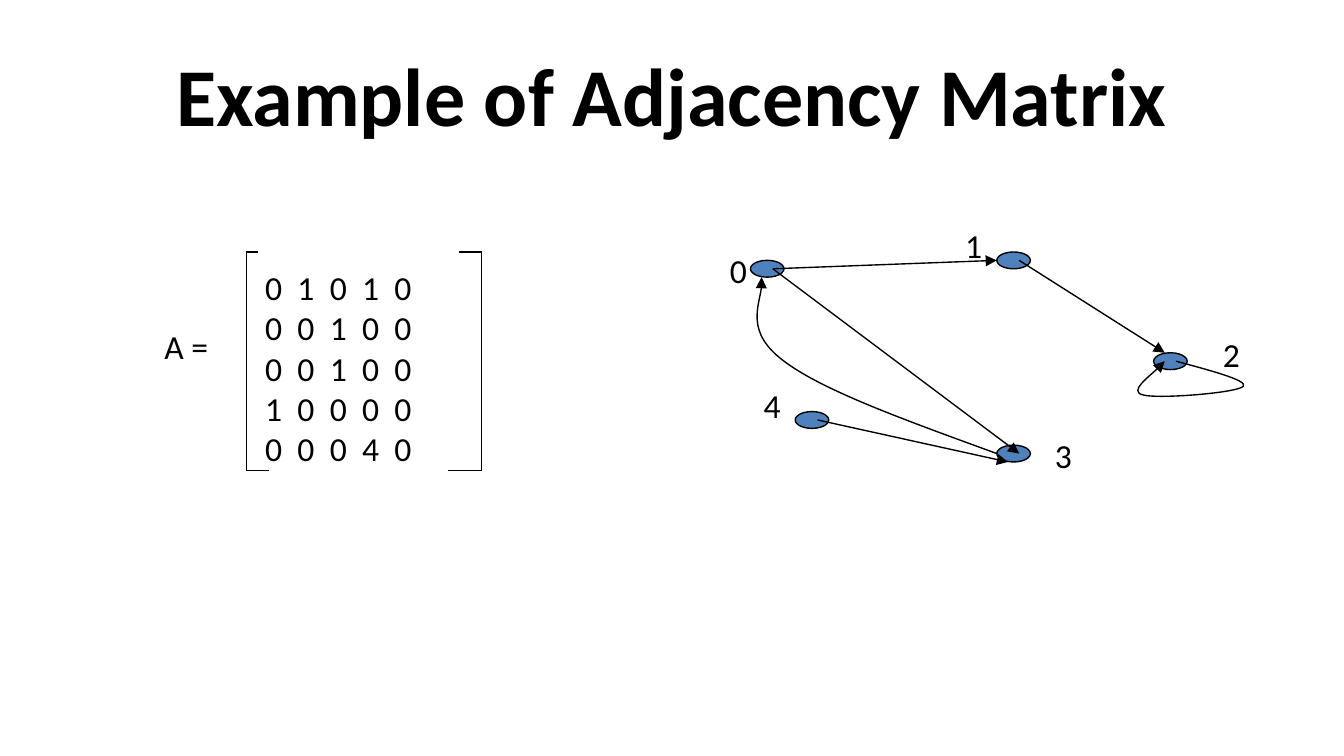
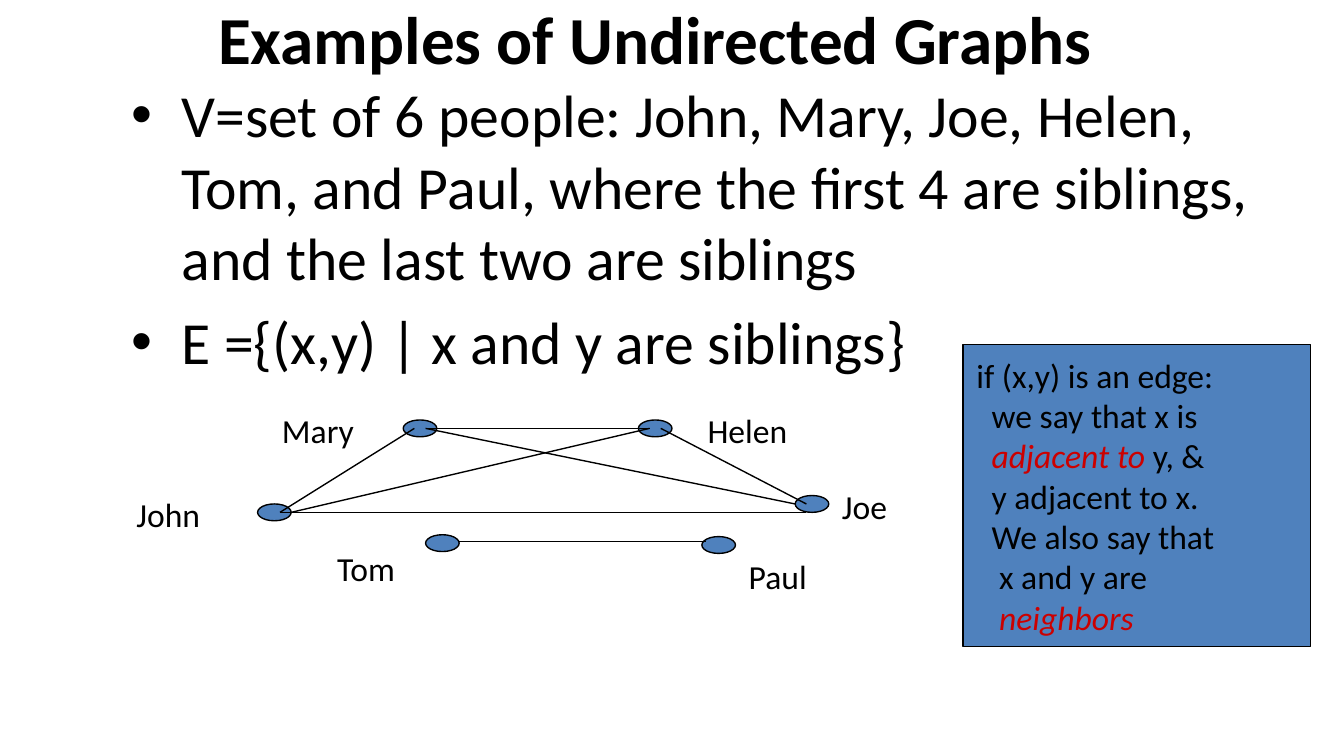
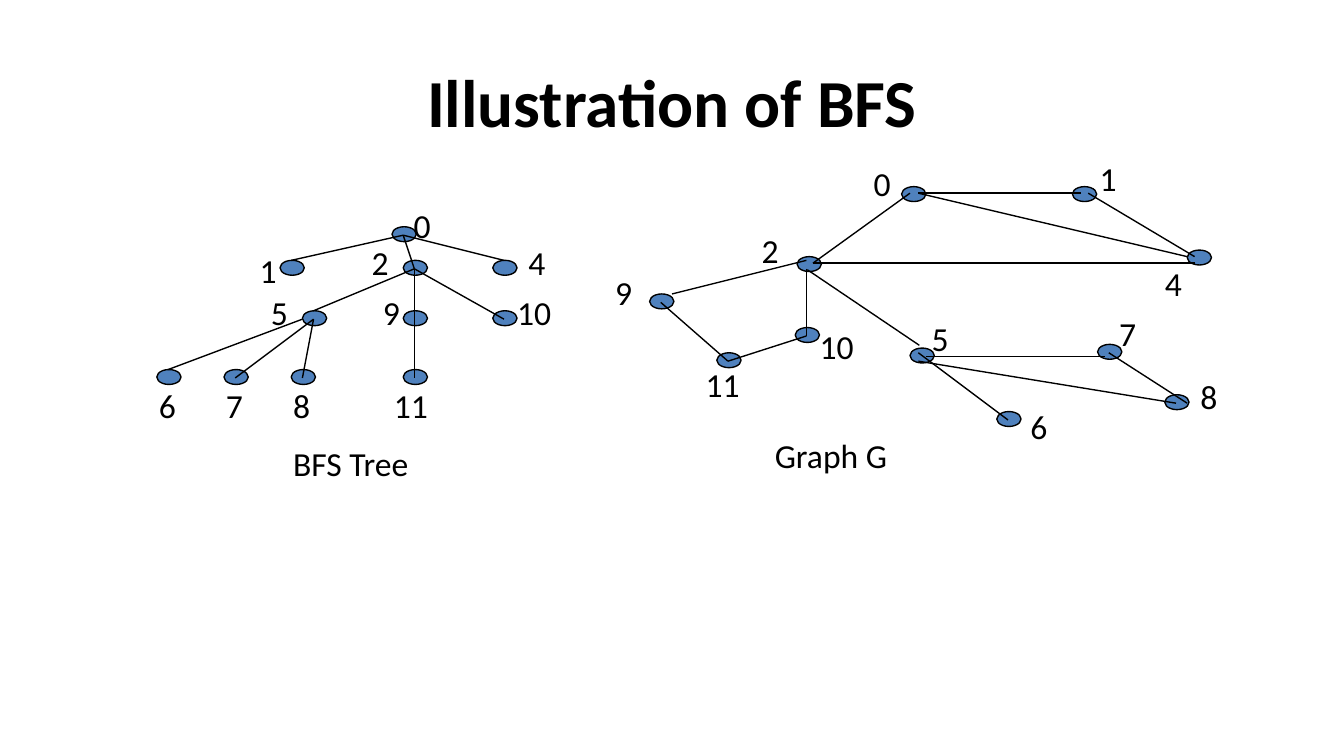
from pptx import Presentation
from pptx.dml.color import RGBColor
from pptx.enum.shapes import MSO_CONNECTOR, MSO_SHAPE
from pptx.enum.text import MSO_ANCHOR, MSO_AUTO_SIZE, PP_ALIGN
from pptx.oxml.ns import qn
from pptx.oxml.xmlchemy import OxmlElement
from pptx.util import Pt

OVAL, RECT = MSO_SHAPE.OVAL, MSO_SHAPE.RECTANGLE
STRAIGHT = MSO_CONNECTOR.STRAIGHT
MIDDLE, TOP = MSO_ANCHOR.MIDDLE, MSO_ANCHOR.TOP
LEFT, CENTER, JUSTIFY = PP_ALIGN.LEFT, PP_ALIGN.CENTER, PP_ALIGN.JUSTIFY
NO_FIT, GROW = MSO_AUTO_SIZE.NONE, MSO_AUTO_SIZE.SHAPE_TO_FIT_TEXT

BLACK = RGBColor(0x00, 0x00, 0x00)
BLUE = RGBColor(0x4F, 0x81, 0xBD)
RED = RGBColor(0xCC, 0x00, 0x00)
FONT = "Calibri"
LINE_WIDTH = 0.75
TEXT_HEIGHT = 29
TITLE_ONLY, TITLE_AND_BODY = 5, 1


def pts(*values):
    return [Pt(v) for v in values]


def add_run(p, text, size=18, color=BLACK, bold=False, italic=False):
    r = p.add_run()
    r.text = text
    r.font.name, r.font.size = FONT, Pt(size)
    r.font.bold, r.font.italic = bold, italic
    r.font.color.rgb = color


def add_label(s, text, x, y, w=None):
    w = w or 14.6 + 9.2 * len(text)
    tf = s.shapes.add_textbox(*pts(x, y, w, TEXT_HEIGHT)).text_frame
    tf.word_wrap, tf.auto_size = False, GROW
    add_run(tf.paragraphs[0], text)


def fill_placeholder(sp, box, paragraphs, size, bold=False, align=LEFT, anchor=TOP):
    sp.left, sp.top, sp.width, sp.height = pts(*box)
    tf = sp.text_frame
    tf.word_wrap, tf.auto_size, tf.vertical_anchor = True, NO_FIT, anchor
    for i, text in enumerate(paragraphs):
        p = tf.paragraphs[0] if i == 0 else tf.add_paragraph()
        p.alignment = align
        p.space_before = Pt(0.2 * size if i else 0)
        add_run(p, text, size=size, bold=bold)


def add_slide(prs, layout, title, box, size):
    s = prs.slides.add_slide(prs.slide_layouts[layout])
    fill_placeholder(s.shapes.title, box, [title], size, bold=True, align=CENTER, anchor=MIDDLE)
    return s


def style_line(sp, arrow=False):
    sp.line.color.rgb = BLACK
    sp.line.width = Pt(LINE_WIDTH)
    if arrow:
        tail = OxmlElement("a:tailEnd")
        tail.set("type", "triangle")
        sp.line._get_or_add_ln().append(tail)


def add_shape(s, kind, x, y, w, h):
    sp = s.shapes.add_shape(kind, *pts(x, y, w, h))
    sp.shadow.inherit = False
    sp.fill.solid()
    sp.fill.fore_color.rgb = BLUE
    style_line(sp)
    return sp


def add_line(s, x1, y1, x2, y2, arrow=False):
    cx = s.shapes.add_connector(STRAIGHT, *pts(x1, y1, x2, y2))
    style_line(cx, arrow)
    cx._element.spPr.append(OxmlElement("a:effectLst"))


def add_curve(s, left, top, points):
    start, *rest = [pts(left + x, top + y) for x, y in points]
    builder = s.shapes.build_freeform(*start)
    builder.add_line_segments(rest, close=False)
    sp = builder.convert_to_shape()
    sp.shadow.inherit = False
    sp.fill.background()
    style_line(sp, arrow=True)
    segments = list(sp._element.iter(qn("a:lnTo")))
    for i in range(0, len(segments), 3):
        curve = OxmlElement("a:cubicBezTo")
        segments[i].addprevious(curve)
        for segment in segments[i:i + 3]:
            curve.append(segment[0])
            segment.getparent().remove(segment)


def draw_graph(s, left, top, node_size, nodes, edges, arrow=False, widths=None):
    widths = widths or {}
    for x, y, _, _ in nodes.values():
        add_shape(s, OVAL, left + x, top + y, *node_size)
    for name, (_, _, x, y) in nodes.items():
        add_label(s, name, left + x, top + y, widths.get(name))
    for x1, y1, x2, y2 in edges:
        add_line(s, left + x1, top + y1, left + x2, top + y2, arrow)


def draw_matrix(s, left, top, name, rows):
    bracket_height, column_gap = 117, 17.3
    add_label(s, name, left, top + 36, 38)
    tf = s.shapes.add_textbox(*pts(left + 54, top + 4.5, 94, bracket_height)).text_frame
    tf.word_wrap, tf.auto_size = False, GROW
    for i, row in enumerate(rows):
        p = tf.paragraphs[0] if i == 0 else tf.add_paragraph()
        tabs = OxmlElement("a:tabLst")
        for column in range(1, len(row)):
            tab = OxmlElement("a:tab")
            tab.set("pos", str(Pt(column * column_gap)))
            tab.set("algn", "l")
            tabs.append(tab)
        p._p.get_or_add_pPr().append(tabs)
        add_run(p, "\t".join(row))
    for side, upper_end, lower_end in ((51, 57, 63), (177, 165, 159)):
        x, bottom = left + side, top + bracket_height
        add_line(s, left + upper_end, top, x, top)
        add_line(s, x, top, x, bottom)
        add_line(s, x, bottom, left + lower_end, bottom)


def draw_callout(s, box, lines):
    tf = add_shape(s, RECT, *box).text_frame
    tf.word_wrap, tf.vertical_anchor = True, MIDDLE
    for i, (indent, runs) in enumerate(lines):
        p = tf.paragraphs[0] if i == 0 else tf.add_paragraph()
        p.alignment = JUSTIFY
        p._p.get_or_add_pPr().set("marL", str(Pt(indent)))
        for text, emphasis in runs:
            add_run(p, text, color=RED if emphasis else BLACK, italic=emphasis)


def adjacency_slide(prs):
    s = add_slide(prs, TITLE_ONLY, "Example of Adjacency Matrix", (36, 16.5, 648, 67.5), 44)
    left, top = 384, 117
    nodes = {
        "0": (18, 22.5, 0, 13.5),
        "1": (150, 18, 126, 0),
        "4": (42, 103.5, 18, 85.5),
        "2": (234, 72, 264, 58.5),
        "3": (150, 121.5, 174, 112.5),
    }
    edges = [
        (30, 27, 150, 22.5),
        (162, 22.5, 240, 72),
        (30, 27, 162, 126),
        (54, 108, 156, 130.5),
    ]
    draw_graph(s, left, top, (18, 9), nodes, edges, arrow=True)
    self_loop = [(246, 76.5), (265.5, 81.75), (285, 87), (282, 90), (279, 93.5),
                 (235.5, 97), (228, 94.5), (221, 92.5), (238, 79.5), (240, 76.5)]
    back_edge = [(150, 126), (103.5, 109), (57, 92.5), (36, 76.5),
                 (15, 61), (25.5, 39.5), (24, 31.5)]
    for points in (self_loop, back_edge):
        add_curve(s, left, top, points)
    draw_matrix(s, 81, 135, "A =", ["01010", "00100", "00100", "10000", "00040"])


def undirected_slide(prs):
    s = add_slide(prs, TITLE_AND_BODY, "Examples of Undirected Graphs", (45, 2, 612, 36), 36)
    fill_placeholder(s.placeholders[1], (63, 38, 630, 279), [
        "V=set of 6 people: John, Mary, Joe, Helen, Tom, and Paul, "
        "where the first 4 are siblings, and the last two are siblings",
        "E ={(x,y) | x and y are siblings}",
    ], 32)
    nodes = {
        "John": (72, 54, 0, 45),
        "Joe": (360, 49.5, 378, 40.5),
        "Mary": (150, 9, 78, 0),
        "Helen": (276, 9, 306, 0),
        "Tom": (162, 70.5, 107.5, 74),
        "Paul": (310, 71.5, 328, 78.5),
    }
    widths = {"John": 49, "Joe": 39, "Mary": 53, "Helen": 57.5, "Tom": 46, "Paul": 46}
    edges = [
        (162, 13.5, 282, 13.5),
        (84, 58.5, 366, 58.5),
        (84, 58.5, 156, 13.5),
        (288, 13.5, 366, 54),
        (180, 74.25, 312, 74.25),
        (90, 58.5, 282, 13.5),
        (162, 13.5, 360, 54),
    ]
    draw_graph(s, 66, 216, (18, 9), nodes, edges, widths=widths)
    draw_callout(s, (516, 184.5, 186, 162), [
        (0, [("if (x,y) is an edge:", False)]),
        (8.2, [("we say that x is", False)]),
        (8.2, [("adjacent to", True), (" y, &", False)]),
        (8.2, [("y adjacent to x.", False)]),
        (8.2, [("We also say that", False)]),
        (12.2, [("x and y are", False)]),
        (12.2, [("neighbors", True)]),
    ])


def bfs_slide(prs):
    s = add_slide(prs, TITLE_ONLY, "Illustration of BFS", (54, 36, 612, 36), 36)
    node_size = (13, 8)
    graph_nodes = {
        "0": (161, 19, 139, 2.5),
        "1": (252.5, 19, 260, 0),
        "2": (105, 56.5, 79, 38.5),
        "4": (314, 53, 295, 56.5),
        "5": (165.5, 105.5, 170, 85.5),
        "6": (212, 139.5, 223, 133),
        "7": (266, 103.5, 270.5, 83),
        "8": (302, 130.5, 314, 117),
        "9": (26, 76.5, 0.5, 61),
        "10": (104, 94.5, 110, 90),
        "11": (62, 108, 49, 110.5),
    }
    graph_edges = [
        (170, 22.5, 257, 22.5),
        (113.5, 60, 318, 60),
        (113.5, 60, 165.5, 22.5),
        (261, 22.5, 318, 56.5),
        (174, 110, 270, 110),
        (170, 22.5, 314, 56.5),
        (170.5, 104, 110.5, 63.5),
        (272, 108, 314, 135),
        (170, 108, 218, 144),
        (170, 112.5, 308, 135),
        (110, 58.5, 38, 76.5),
        (110, 63, 110, 99),
        (32, 81, 68, 112.5),
        (110, 99, 68, 112.5),
    ]
    draw_graph(s, 322, 81, node_size, graph_nodes, graph_edges)
    add_label(s, "Graph G", 408, 229.5, 75.5)

    tree_nodes = {
        "0": (132, 15.5, 136.5, 0),
        "1": (72, 33.5, 54, 24.5),
        "4": (186, 33.5, 198, 20),
        "2": (138, 33.5, 114, 20),
        "5": (84, 60.5, 60, 47),
        "9": (138, 60.5, 120, 47),
        "10": (186, 60.5, 192, 47),
        "6": (6, 92, 0, 96.5),
        "7": (42, 92, 36, 96.5),
        "8": (78, 92, 72, 96.5),
        "11": (138, 92, 126, 96.5),
    }
    tree_edges = [
        (138, 20, 78, 33.5),
        (138, 20, 144, 38),
        (138, 20, 192, 33.5),
        (90, 60.5, 144, 38),
        (144, 65, 144, 38),
        (192, 65, 144, 38),
        (84, 65, 12, 92),
        (90, 65, 48, 96.5),
        (90, 65, 84, 96.5),
        (144, 65, 144, 96.5),
    ]
    draw_graph(s, 78, 106, node_size, tree_nodes, tree_edges)
    add_label(s, "BFS Tree", 150, 234, 77)


def main():
    prs = Presentation()
    prs.slide_width, prs.slide_height = pts(720, 405)
    adjacency_slide(prs)
    undirected_slide(prs)
    bfs_slide(prs)
    prs.save("out.pptx")


if __name__ == "__main__":
    main()
